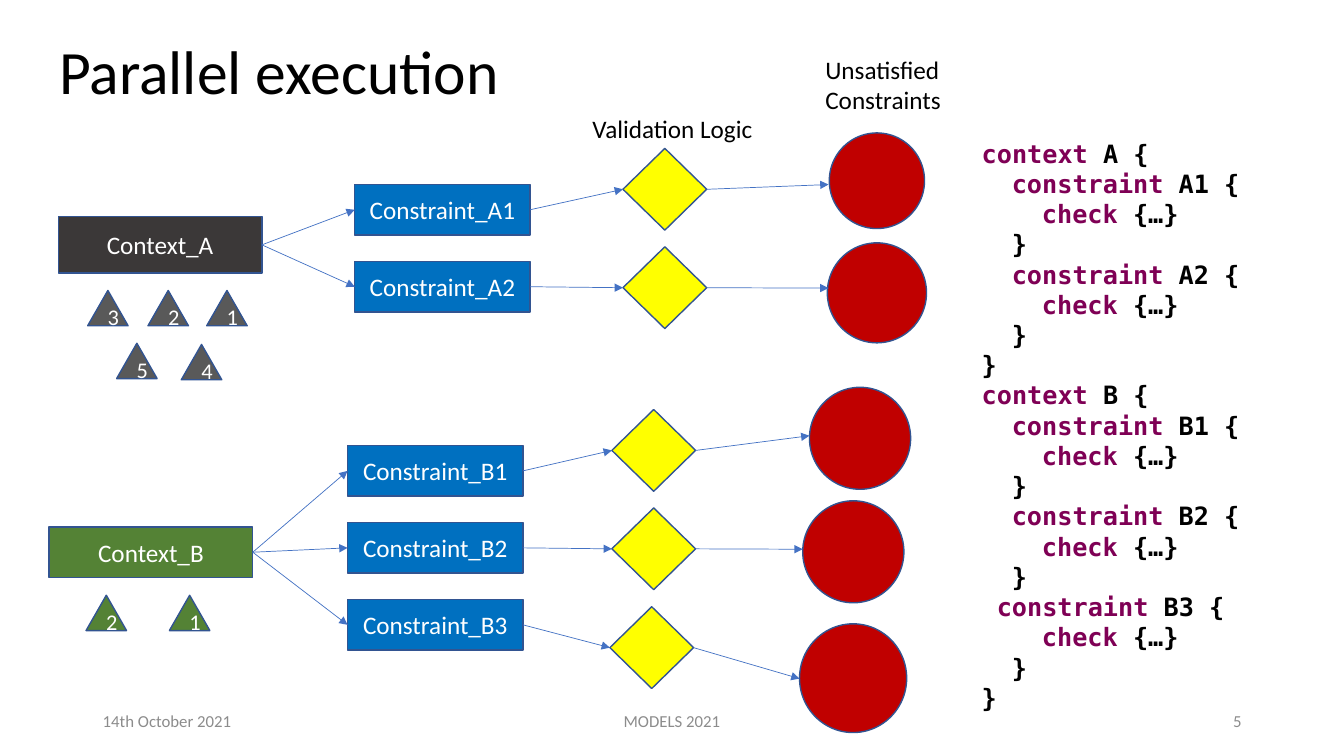
import dataclasses
import typing

import lxml.etree
import pptx
import pptx.dml.color
import pptx.enum.shapes
import pptx.enum.text
import pptx.oxml.ns
import pptx.util

Cm = pptx.util.Cm
Pt = pptx.util.Pt
RGB = pptx.dml.color.RGBColor
Shape = pptx.enum.shapes.MSO_SHAPE
Align = pptx.enum.text.PP_ALIGN
Anchor = pptx.enum.text.MSO_ANCHOR
qn = pptx.oxml.ns.qn

TOP, LEFT, BOTTOM, RIGHT = range(4)


@dataclasses.dataclass(frozen=True)
class Theme:
    text: str = "000000"
    on_fill: str = "FFFFFF"
    footer: str = "8C8C8C"
    keyword: str = "7F0055"
    outline: str = "325491"
    arrow: str = "4472C4"
    constraint: str = "0070C0"
    logic: str = "FFFF00"
    unsatisfied: str = "C00000"
    sans: str = "Calibri"
    mono: str = "DejaVu Sans Mono"
    title_size: int = 44
    body_size: int = 18
    element_size: int = 16
    footer_size: int = 12


class Box(typing.NamedTuple):
    """Left, top, width and height in centimetres."""
    x: float
    y: float
    w: float
    h: float


@dataclasses.dataclass(frozen=True)
class Check:
    """One constraint's row: diamond position, result circle and arrow tip."""
    diamond: tuple[float, float]
    circle: Box
    tip: tuple[float, float]


@dataclasses.dataclass(frozen=True)
class Context:
    letter: str
    box: Box
    fill: str
    element_fill: str
    elements: dict[str, tuple[float, float]]
    constraint_at: tuple[float, float]
    checks: list[Check]


@dataclasses.dataclass(frozen=True)
class Label:
    text: str
    box: Box
    size: int
    color: str
    align: Align = Align.LEFT
    anchor: Anchor = Anchor.TOP
    wrap: bool = True
    spacing: float = 1.0


class CodeLine(typing.NamedTuple):
    indent: int
    keyword: str
    rest: str


T = Theme()
CONSTRAINT_W, CONSTRAINT_H, CONSTRAINT_PITCH = 4.42, 1.27, 1.94
DIAMOND_W, DIAMOND_H = 2.11, 2.06
TRIANGLE_W, TRIANGLE_H = 1.02, 0.89
CODE_CHAR = 0.38

CONTEXTS = [
    Context("A", Box(1.47, 5.46, 5.13, 1.42), "3B3838", "595959",
            {"1": (5.21, 7.32), "2": (3.73, 7.32), "3": (2.21, 7.32),
             "4": (4.57, 8.68), "5": (2.94, 8.65)},
            (8.94, 4.65),
            [Check((15.7, 3.74), Box(20.9, 3.35, 2.4, 2.41), (20.88, 4.65)),
             Check((15.7, 6.22), Box(20.85, 6.12, 2.5, 2.52), (20.88, 7.26))]),
    Context("B", Box(1.24, 13.28, 5.13, 1.27), "548235", "548235",
            {"1": (4.27, 15), "2": (2.17, 15)},
            (8.76, 11.23),
            [Check((15.42, 10.32), Box(20.4, 9.76, 2.55, 2.57), (20.4, 10.98)),
             Check((15.42, 12.8), Box(20.23, 12.62, 2.55, 2.57), (20.23, 13.84)),
             Check((15.37, 15.29), Box(20.15, 15.72, 2.7, 2.74), (20.15, 17.1))]),
]

FOOTER = dict(size=T.footer_size, color=T.footer, anchor=Anchor.MIDDLE)
LABELS = [
    Label("Parallel execution", Box(1.24, 0.03, 29.21, 3.68), T.title_size, T.text,
          anchor=Anchor.MIDDLE, spacing=0.9),
    Label("Validation Logic", Box(14.68, 2.74, 4.6, 1.02), T.body_size, T.text, wrap=False),
    Label("Unsatisfied Constraints", Box(20.55, 1.24, 4.44, 1.8), T.body_size, T.text),
    Label("14th October 2021", Box(2.34, 17.65, 7.62, 1.02), **FOOTER),
    Label("MODELS 2021", Box(11.22, 17.65, 11.43, 1.02), align=Align.CENTER, **FOOTER),
    Label("5", Box(23.92, 17.65, 7.62, 1.02), align=Align.RIGHT, **FOOTER),
]


def set_attrs(obj: typing.Any, values: dict[str, typing.Any]) -> None:
    for name, value in values.items():
        setattr(obj, name, value)


def add_run(p, text: str, size: int, color: str, font: str = T.sans, bold: bool = False) -> None:
    r = p.add_run()
    r.text = text
    set_attrs(r.font, {"name": font, "size": Pt(size), "bold": bold})
    r.font.color.rgb = RGB.from_string(color)


def add_figure(slide, kind: Shape, box: Box, fill: str, text: str = "", size: int = T.body_size):
    sp = slide.shapes.add_shape(kind, *map(Cm, box))
    sp.shadow.inherit = False
    sp.fill.solid()
    sp.fill.fore_color.rgb = RGB.from_string(fill)
    sp.line.color.rgb = RGB.from_string(T.outline)
    sp.line.width = Pt(1)
    if text:
        set_attrs(sp.text_frame, {"word_wrap": True, "vertical_anchor": Anchor.MIDDLE})
        p = sp.text_frame.paragraphs[0]
        p.alignment = Align.CENTER
        add_run(p, text, size, T.on_fill)
    return sp


def add_arrow(slide, source, target=None, tip: tuple[float, float] = (0, 0)) -> None:
    """Arrow from the right of source to the left of target, or to a free tip."""
    cx = slide.shapes.add_connector(
        pptx.enum.shapes.MSO_CONNECTOR.STRAIGHT, 0, 0, *map(Cm, tip))
    cx.begin_connect(source, RIGHT)
    if target is not None:
        cx.end_connect(target, LEFT)
    cx.line.color.rgb = RGB.from_string(T.arrow)
    cx.line.width = Pt(0.5)
    lxml.etree.SubElement(cx.line._get_or_add_ln(), qn("a:tailEnd"), type="triangle")
    lxml.etree.SubElement(cx._element.spPr, qn("a:effectLst"))


def add_context(slide, context: Context) -> None:
    root = add_figure(slide, Shape.RECTANGLE, context.box, context.fill,
                      f"Context_{context.letter}")
    x, y = context.constraint_at
    for i, check in enumerate(context.checks):
        add_figure(slide, Shape.OVAL, check.circle, T.unsatisfied)
        constraint = add_figure(
            slide, Shape.RECTANGLE,
            Box(x, y + i * CONSTRAINT_PITCH, CONSTRAINT_W, CONSTRAINT_H),
            T.constraint, f"Constraint_{context.letter}{i + 1}")
        diamond = add_figure(slide, Shape.DIAMOND,
                             Box(*check.diamond, DIAMOND_W, DIAMOND_H), T.logic)
        add_arrow(slide, root, constraint)
        add_arrow(slide, constraint, diamond)
        add_arrow(slide, diamond, tip=check.tip)
    for number, at in context.elements.items():
        add_figure(slide, Shape.ISOSCELES_TRIANGLE, Box(*at, TRIANGLE_W, TRIANGLE_H),
                   context.element_fill, number, T.element_size)


def add_label(slide, label: Label) -> None:
    tf = slide.shapes.add_textbox(*map(Cm, label.box)).text_frame
    set_attrs(tf, {"word_wrap": label.wrap, "vertical_anchor": label.anchor})
    p = tf.paragraphs[0]
    set_attrs(p, {"alignment": label.align, "line_spacing": label.spacing})
    add_run(p, label.text, label.size, label.color)


def code_lines() -> typing.Iterator[CodeLine]:
    for context in CONTEXTS:
        yield CodeLine(0, "context", f" {context.letter} {{")
        for i in range(1, len(context.checks) + 1):
            name = f"{context.letter}{i}"
            yield CodeLine(1 if name == "B3" else 2, "constraint", f" {name} {{")
            yield CodeLine(4, "check", " {…}")
            yield CodeLine(2, "", "}")
        yield CodeLine(0, "", "}")


def add_code(slide, box: Box) -> None:
    tf = slide.shapes.add_textbox(*map(Cm, box)).text_frame
    tf.word_wrap = True
    for i, line in enumerate(code_lines()):
        p = tf.add_paragraph() if i else tf.paragraphs[0]
        p._p.get_or_add_pPr().set("marL", str(Cm(line.indent * CODE_CHAR)))
        for text, color in ((line.keyword, T.keyword), (line.rest, T.text)):
            if text:
                add_run(p, text, T.body_size, color, T.mono, True)


def main() -> None:
    prs = pptx.Presentation()
    set_attrs(prs, {"slide_width": Cm(33.87), "slide_height": Cm(19.05)})
    slide = prs.slides.add_slide(prs.slide_layouts[6])
    for context in CONTEXTS:
        add_context(slide, context)
    for label in LABELS:
        add_label(slide, label)
    add_code(slide, Box(24.49, 3.35, 7.29, 15.65))
    prs.save("out.pptx")


if __name__ == "__main__":
    main()
